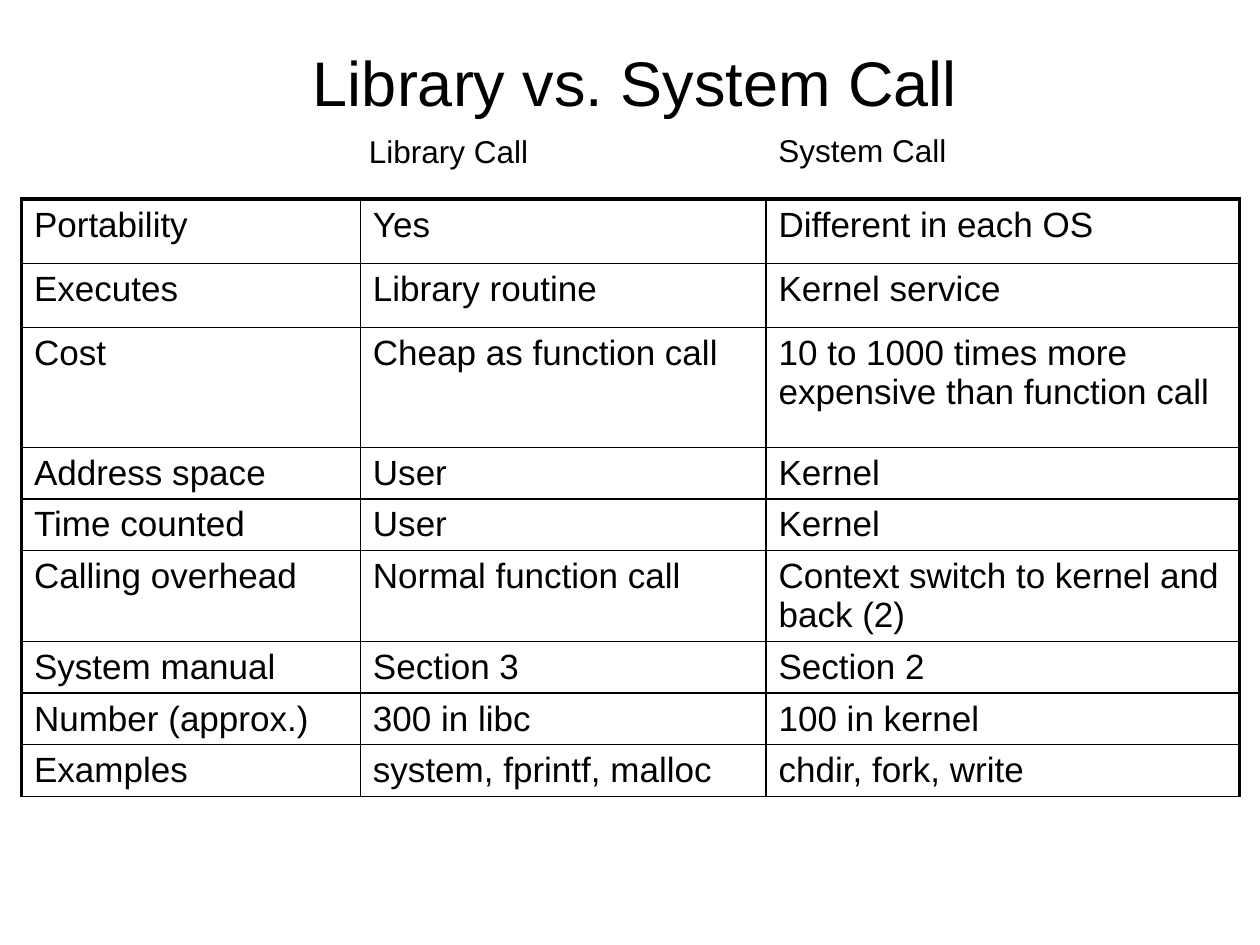
from lxml import etree
from pptx import Presentation
from pptx.dml.color import RGBColor
from pptx.enum.text import MSO_ANCHOR, PP_ALIGN
from pptx.oxml.ns import qn
from pptx.util import Inches, Pt

MIDDLE, CENTER = MSO_ANCHOR.MIDDLE, PP_ALIGN.CENTER
TITLE_ONLY = 5
INK = "000000"
THIN, THICK = 1, 2.25

COLS = [2.69, 3.22, 3.76]
LOW, TALL = 0.41, 0.51
ROWS = [
    (TALL, "Portability", "Yes", "Different in each OS"),
    (TALL, "Executes", "Library routine", "Kernel service"),
    (0.95, "Cost", "Cheap as function call",
     "10 to 1000 times more expensive than function call"),
    (LOW, "Address space", "User", "Kernel"),
    (LOW, "Time counted", "User", "Kernel"),
    (0.72, "Calling overhead", "Normal function call",
     "Context switch to kernel and back (2)"),
    (LOW, "System manual", "Section 3", "Section 2"),
    (LOW, "Number (approx.)", "300 in libc", "100 in kernel"),
    (LOW, "Examples", "system, fprintf, malloc", "chdir, fork, write"),
]


def color(value):
    return RGBColor.from_string(value)


def style(frame, size):
    for par in frame.paragraphs:
        for run in par.runs:
            run.font.name = "Arial"
            run.font.size = Pt(size)
            run.font.color.rgb = color(INK)


def border(cell, side, width):
    props = cell._tc.get_or_add_tcPr()
    line = etree.SubElement(props, qn(f"a:ln{side}"), w=str(Pt(width)))
    fill = etree.SubElement(line, qn("a:solidFill"))
    etree.SubElement(fill, qn("a:srgbClr"), val=INK)


def add_title(slide, text):
    title = slide.shapes.title
    title.left, title.top = Inches(0.5), Inches(0.17)
    title.width, title.height = Inches(9.08), Inches(0.95)
    frame = title.text_frame
    frame.text = text
    frame.vertical_anchor = MIDDLE
    frame.paragraphs[0].alignment = CENTER
    style(frame, 36)


def add_label(slide, text, left, top, width):
    box = slide.shapes.add_textbox(
        Inches(left), Inches(top), Inches(width), Inches(0.4))
    frame = box.text_frame
    frame.word_wrap = False
    frame.text = text
    style(frame, 18)


def add_grid(slide, left, top):
    high = sum(row[0] for row in ROWS)
    table = slide.shapes.add_table(
        len(ROWS), len(COLS), Inches(left), Inches(top),
        Inches(sum(COLS)), Inches(high)).table
    table.first_row = table.horz_banding = False
    for col, width in zip(table.columns, COLS):
        col.width = Inches(width)
    last = len(COLS) - 1
    for y, (height, *texts) in enumerate(ROWS):
        table.rows[y].height = Inches(height)
        for x, text in enumerate(texts):
            cell = table.cell(y, x)
            cell.text = text
            style(cell.text_frame, 20)
            # Heavy rule on the left, right and top edges of the table
            border(cell, "L", THICK if x == 0 else THIN)
            border(cell, "R", THICK if x == last else THIN)
            border(cell, "T", THICK if y == 0 else THIN)
            border(cell, "B", THIN)
            cell.fill.background()


def main():
    deck = Presentation()
    deck.slide_width, deck.slide_height = Inches(10), Inches(7.5)
    slide = deck.slides.add_slide(deck.slide_layouts[TITLE_ONLY])

    add_title(slide, "Library vs. System Call")
    add_grid(slide, 0.17, 1.58)

    # Column headings above the table
    add_label(slide, "Library Call", 2.83, 1, 1.48)
    add_label(slide, "System Call", 6.08, 0.99, 1.55)

    deck.save("out.pptx")


if __name__ == "__main__":
    main()
